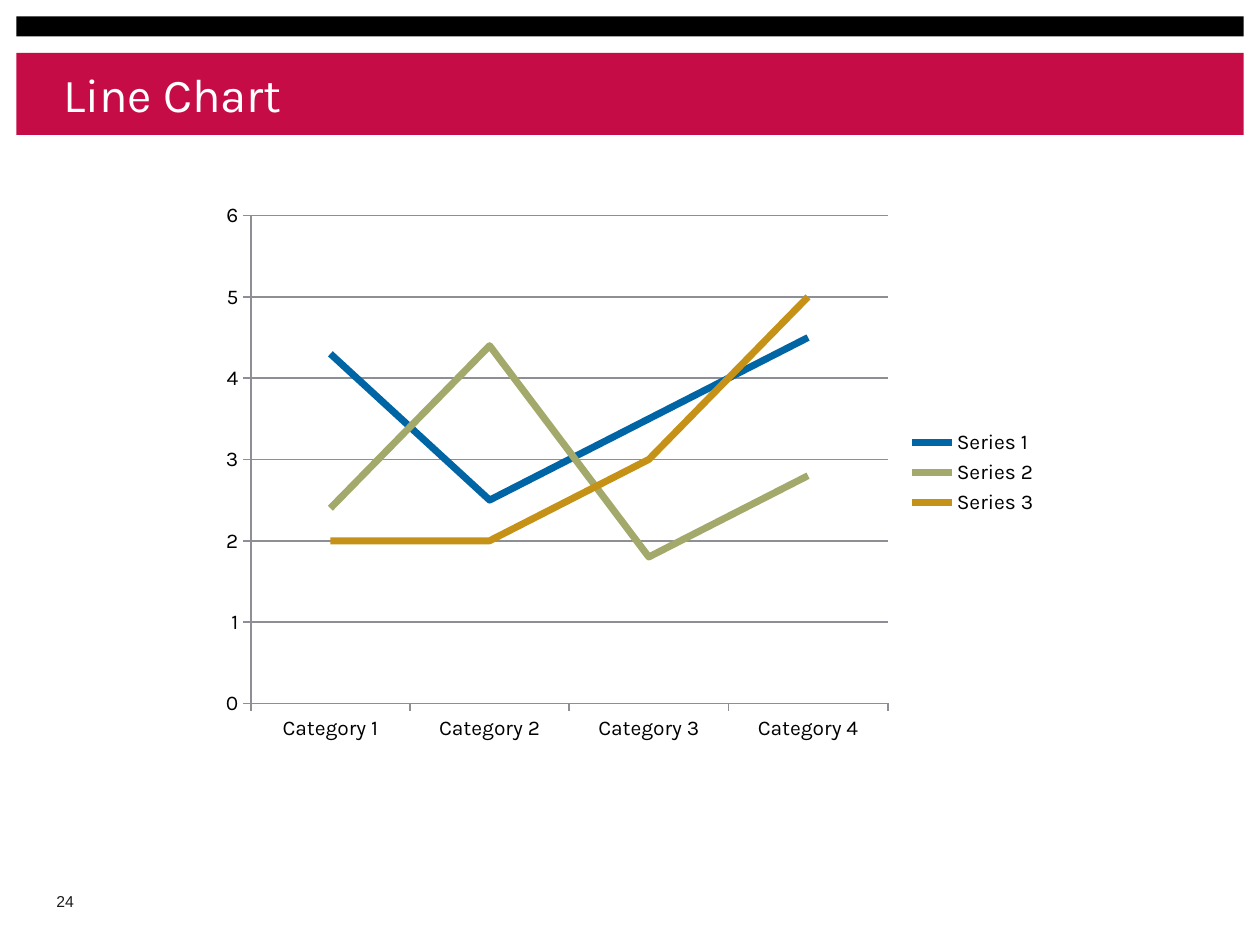
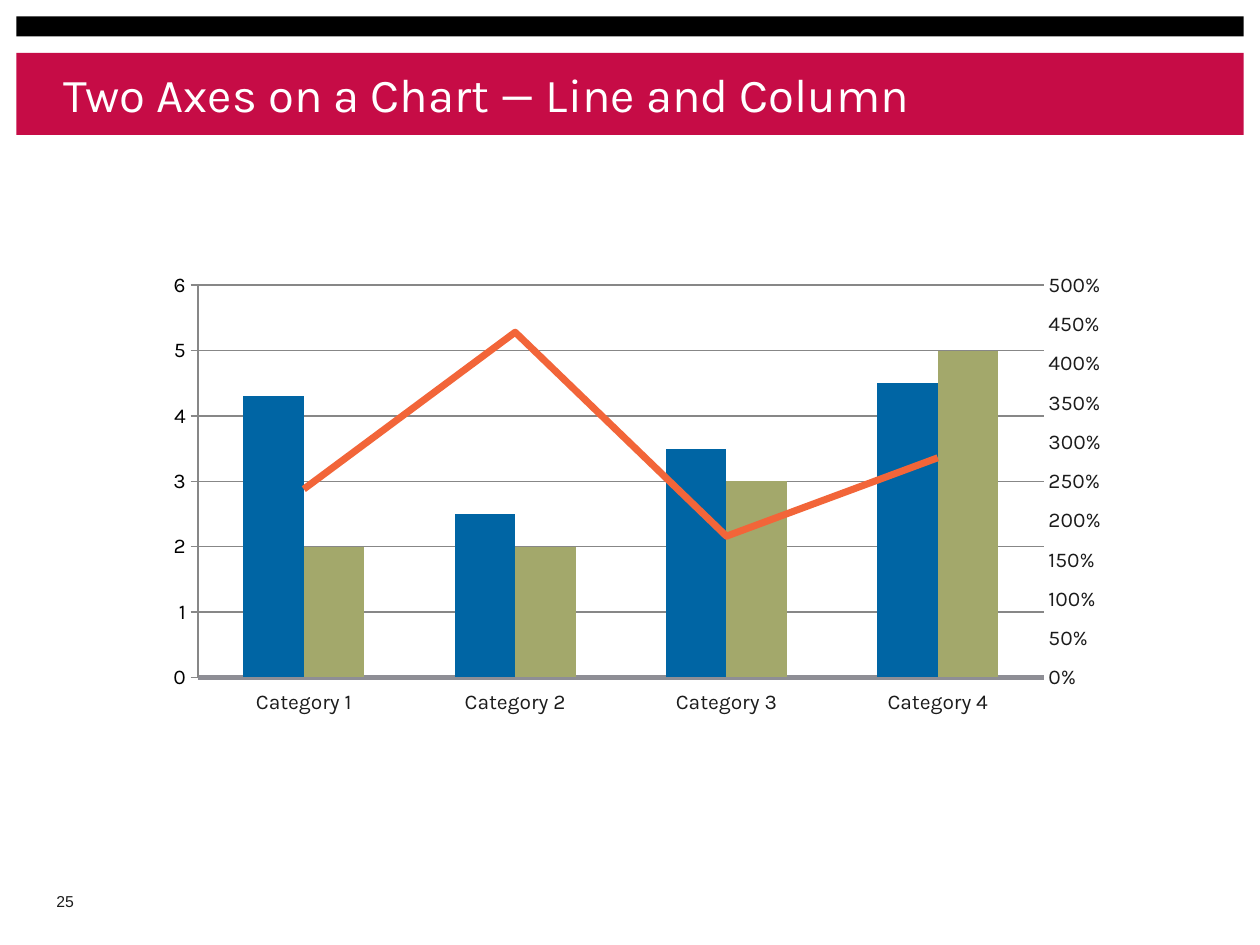
"""Build two chart pages that share a banded title style."""
from dataclasses import dataclass
from typing import NamedTuple, Optional

from pptx import Presentation
from pptx.chart.axis import ValueAxis
from pptx.chart.data import CategoryChartData
from pptx.dml.color import RGBColor
from pptx.enum.chart import XL_CHART_TYPE, XL_LEGEND_POSITION, XL_MARKER_STYLE
from pptx.enum.chart import XL_TICK_LABEL_POSITION, XL_TICK_MARK
from pptx.enum.shapes import MSO_SHAPE
from pptx.enum.text import MSO_ANCHOR, MSO_AUTO_SIZE, PP_ALIGN
from pptx.oxml import parse_xml
from pptx.oxml.ns import nsdecls, qn
from pptx.util import Inches, Pt

RECTANGLE = MSO_SHAPE.RECTANGLE
MIDDLE = MSO_ANCHOR.MIDDLE
LEFT = PP_ALIGN.LEFT
FIXED_SIZE = MSO_AUTO_SIZE.NONE
LINE_CHART = XL_CHART_TYPE.LINE
COLUMN_CHART = XL_CHART_TYPE.COLUMN_CLUSTERED
LEGEND_RIGHT = XL_LEGEND_POSITION.RIGHT
NO_MARKER = XL_MARKER_STYLE.NONE
LABELS_LOW = XL_TICK_LABEL_POSITION.LOW
TICK_OUTSIDE = XL_TICK_MARK.OUTSIDE
TICK_NONE = XL_TICK_MARK.NONE

COLUMNS, ROWS = 100, 75
CELL = Inches(0.1)
TITLE_ONLY_LAYOUT = 5


class Area(NamedTuple):
    """A rectangle in grid cells, or in percent of a chart."""
    left: float
    top: float
    width: float
    height: float

    def lengths(self) -> list[int]:
        """Return the sides as slide lengths."""
        return [round(side * CELL) for side in self]


@dataclass(frozen=True)
class Theme:
    """Colours, fonts and type sizes of the deck."""
    crimson: str = "C60C46"
    black: str = "000000"
    white: str = "FFFFFF"
    ink: str = "1C1C1C"
    grey: str = "8E8E95"
    blue: str = "0065A4"
    olive: str = "A3A86B"
    ochre: str = "C59217"
    orange: str = "F26539"
    heading_font: str = "Karla"
    number_font: str = "Arial"
    title_size: float = 27
    chart_size: float = 12
    number_size: float = 9
    thin_line: float = 0.95
    base_line: float = 2.85
    series_line: float = 4


@dataclass(frozen=True)
class Series:
    """A named run of chart values with its colour."""
    name: str
    values: tuple[float, ...]
    color: str


@dataclass(frozen=True)
class ChartPage:
    """A page with a title, a number and one chart."""
    title: str
    number: int
    area: Area
    plot: Area
    series: tuple[Series, ...]
    combined: bool = False


THEME = Theme()
TITLE_AREA = Area(5, 5.4, 93.6, 4)
NUMBER_AREA = Area(3.5, 69.8, 3.6, 3.5)
BANDS = (
    (Area(1.3, 4.2, 97.4, 6.5), THEME.crimson),
    (Area(1.3, 1.3, 97.4, 1.6), THEME.black),
)
CATEGORIES = [f"Category {index}" for index in range(1, 5)]
FALLING = (4.3, 2.5, 3.5, 4.5)
PEAKED = (2.4, 4.4, 1.8, 2.8)
RISING = (2, 2, 3, 5)
PAGES = (
    ChartPage(
        "Line Chart", 24, Area(16.7, 15.3, 66.7, 44.4), Area(4.8, 4.1, 75.8, 87.2),
        (Series("Series 1", FALLING, THEME.blue),
         Series("Series 2", PEAKED, THEME.olive),
         Series("Series 3", RISING, THEME.ochre)),
    ),
    ChartPage(
        "Two Axes on a Chart — Line and Column", 25,
        Area(10.5, 18.3, 84.3, 40.5), Area(6.2, 10.7, 79.6, 76.9),
        (Series("Series 1", FALLING, THEME.blue),
         Series("Series 2", RISING, THEME.olive),
         Series("Series 3", PEAKED, THEME.orange)),
        combined=True,
    ),
)


def style_font(font, *, name: str, size: float, color: str) -> None:
    """Set face, size and colour of a font."""
    font.name = name
    font.size = Pt(size)
    font.color.rgb = RGBColor.from_string(color)


def style_line(line, color: str, width: float) -> None:
    """Give a line a solid colour and a width."""
    line.color.rgb = RGBColor.from_string(color)
    line.width = Pt(width)


def write_text(box, text: str, *, font: str, size: float, color: str,
               inset: float = 0, wrap: bool = True, space_after: float = 0) -> None:
    """Write one left-aligned, vertically centred paragraph."""
    frame = box.text_frame
    frame.auto_size = FIXED_SIZE
    frame.word_wrap = wrap
    frame.vertical_anchor = MIDDLE
    frame.margin_left = frame.margin_right = Inches(inset)
    frame.margin_top = frame.margin_bottom = Inches(inset)
    para = frame.paragraphs[0]
    para.alignment = LEFT
    para.space_after = Pt(space_after)
    span = para.add_run()
    span.text = text
    style_font(span.font, name=font, size=size, color=color)


def add_bands(page) -> None:
    """Draw the bands and hand them to the layout behind the page."""
    layout_tree = page.slide_layout.shapes.element
    for position, (area, color) in enumerate(BANDS, start=2):
        band = page.shapes.add_shape(RECTANGLE, *area.lengths())
        band.shadow.inherit = False
        band.fill.solid()
        band.fill.fore_color.rgb = RGBColor.from_string(color)
        band.line.fill.background()
        layout_tree.insert(position, band.element)


def set_plot_area(chart, plot: Area) -> None:
    """Fix the inner plot area in percent of the chart."""
    plot_area = chart.element.find(".//" + qn("c:plotArea"))
    for layout in plot_area.findall(qn("c:layout")):
        plot_area.remove(layout)
    sides = "".join(
        f'<c:{tag} val="{side / 100:.3f}"/>' for tag, side in zip("xywh", plot))
    plot_area.insert(0, parse_xml(
        f'<c:layout {nsdecls("c")}><c:manualLayout><c:layoutTarget val="inner"/>'
        f'<c:xMode val="edge"/><c:yMode val="edge"/>{sides}'
        '</c:manualLayout></c:layout>'))


def style_axis(axis, *, color: str, tick, line_width: float = 0,
               number_format: Optional[str] = None, top: Optional[float] = None,
               step: Optional[float] = None, grid: bool = False) -> None:
    """Format labels, ticks, line, scale and grid of an axis."""
    style_font(axis.tick_labels.font, name=THEME.heading_font,
               size=THEME.chart_size, color=color)
    axis.major_tick_mark = tick
    axis.minor_tick_mark = TICK_NONE
    axis.has_major_gridlines = grid
    if grid:
        style_line(axis.major_gridlines.format.line, THEME.grey, THEME.thin_line)
    if line_width:
        style_line(axis.format.line, THEME.grey, line_width)
    else:
        axis.format.line.fill.background()
    if number_format:
        axis.tick_labels.number_format = number_format
        axis.tick_labels.number_format_is_linked = False
    if top is not None:
        axis.minimum_scale, axis.maximum_scale, axis.major_unit = 0, top, step


def style_line_series(series, color: str) -> None:
    """Draw a series as a straight line without markers."""
    style_line(series.format.line, color, THEME.series_line)
    series.marker.style = NO_MARKER
    series.smooth = False


def move_last_series_to_right_axis(chart) -> ValueAxis:
    """Turn the last column series into a line on a second value axis."""
    plot_area = chart.element.find(".//" + qn("c:plotArea"))
    columns = plot_area.find(qn("c:barChart"))
    moved = columns.findall(qn("c:ser"))[-1]
    for column_only in moved.findall(qn("c:invertIfNegative")):
        moved.remove(column_only)
    lines = parse_xml(
        f'<c:lineChart {nsdecls("c")}><c:grouping val="standard"/>'
        '<c:varyColors val="0"/><c:marker val="1"/>'
        '<c:axId val="5001"/><c:axId val="5002"/></c:lineChart>')
    lines.insert(2, moved)
    columns.addnext(lines)
    hidden_axis = parse_xml(
        f'<c:catAx {nsdecls("c")}><c:axId val="5001"/>'
        '<c:scaling><c:orientation val="minMax"/></c:scaling><c:delete val="1"/>'
        '<c:axPos val="b"/><c:crossAx val="5002"/><c:crosses val="autoZero"/></c:catAx>')
    right_axis = parse_xml(
        f'<c:valAx {nsdecls("c")}><c:axId val="5002"/>'
        '<c:scaling><c:orientation val="minMax"/></c:scaling><c:delete val="0"/>'
        '<c:axPos val="r"/><c:tickLblPos val="nextTo"/><c:crossAx val="5001"/>'
        '<c:crosses val="max"/><c:crossBetween val="between"/></c:valAx>')
    plot_area.findall(qn("c:valAx"))[-1].addnext(hidden_axis)
    hidden_axis.addnext(right_axis)
    return ValueAxis(right_axis)


def format_line_chart(chart, series: tuple[Series, ...]) -> None:
    """Format the plain line chart and its legend."""
    for drawn, given in zip(chart.plots[0].series, series):
        style_line_series(drawn, given.color)
    shared = dict(color=THEME.black, tick=TICK_OUTSIDE, line_width=THEME.thin_line)
    style_axis(chart.category_axis, **shared)
    style_axis(chart.value_axis, top=6, step=1, grid=True, **shared)
    chart.has_legend = True
    chart.legend.position = LEGEND_RIGHT
    chart.legend.include_in_layout = False
    style_font(chart.legend.font, name=THEME.heading_font,
               size=THEME.chart_size, color=THEME.black)


def format_combined_chart(chart, series: tuple[Series, ...]) -> None:
    """Format columns on the left axis and a line on the right axis."""
    right_axis = move_last_series_to_right_axis(chart)
    columns, lines = chart.plots
    columns.gap_width, columns.overlap = 150, 0
    for drawn, given in zip(columns.series, series):
        drawn.format.fill.solid()
        drawn.format.fill.fore_color.rgb = RGBColor.from_string(given.color)
    style_line_series(lines.series[0], series[-1].color)
    shared = dict(color=THEME.ink, tick=TICK_NONE)
    style_axis(chart.category_axis, line_width=THEME.base_line, **shared)
    chart.category_axis.tick_label_position = LABELS_LOW
    style_axis(chart.value_axis, number_format="#,##0", top=6, step=1, grid=True, **shared)
    style_axis(right_axis, number_format="0%", top=5, step=0.5, **shared)
    chart.has_legend = False


def add_chart(page, content: ChartPage) -> None:
    """Add the chart of a page."""
    data = CategoryChartData()
    data.categories = CATEGORIES
    for series in content.series:
        data.add_series(series.name, series.values)
    kind = COLUMN_CHART if content.combined else LINE_CHART
    chart = page.shapes.add_chart(kind, *content.area.lengths(), data).chart
    chart.has_title = False
    chart.plots[0].vary_by_categories = False
    style_font(chart.font, name=THEME.heading_font,
               size=THEME.chart_size, color=THEME.black)
    format_chart = format_combined_chart if content.combined else format_line_chart
    format_chart(chart, content.series)
    set_plot_area(chart, content.plot)


def add_page(deck, content: ChartPage):
    """Add a page with title, number and chart."""
    page = deck.slides.add_slide(deck.slide_layouts[TITLE_ONLY_LAYOUT])
    title = page.shapes.title
    title.left, title.top, title.width, title.height = TITLE_AREA.lengths()
    write_text(title, content.title, font=THEME.heading_font,
               size=THEME.title_size, color=THEME.white)
    number = page.shapes.add_textbox(*NUMBER_AREA.lengths())
    write_text(number, str(content.number), font=THEME.number_font,
               size=THEME.number_size, color=THEME.ink,
               inset=0.1, wrap=False, space_after=3)
    add_chart(page, content)
    return page


def main() -> None:
    """Build and save the deck."""
    deck = Presentation()
    deck.slide_width, deck.slide_height = COLUMNS * CELL, ROWS * CELL
    pages = [add_page(deck, content) for content in PAGES]
    add_bands(pages[0])
    deck.save("out.pptx")


main()
